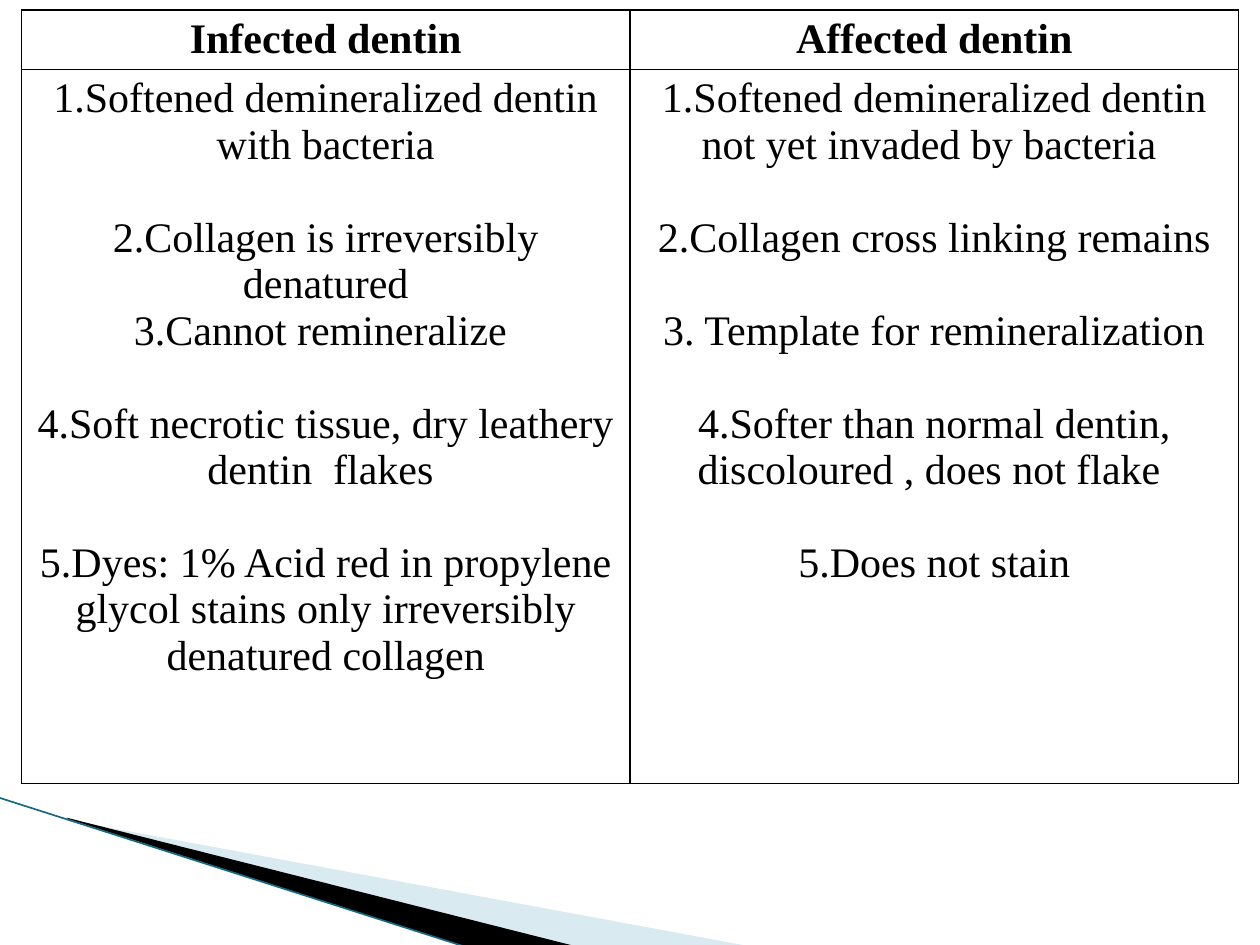
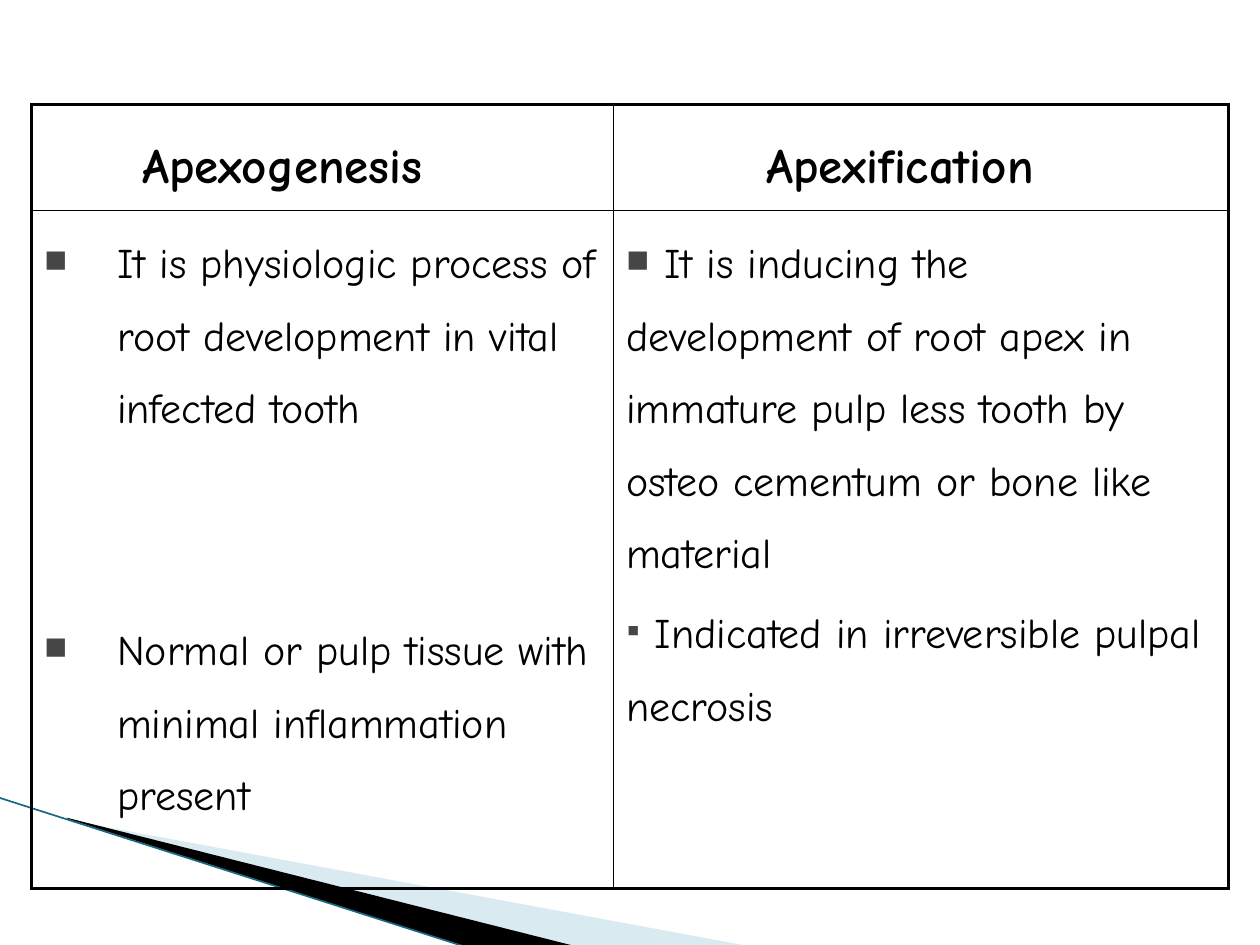
from lxml import etree
from pptx import Presentation
from pptx import util as u
from pptx.dml.color import RGBColor
from pptx.enum import shapes, text
from pptx.oxml.ns import qn

COLORS = {"ink": "000000", "pale": "A0CBDC", "edge": "17697F", "bullet": "464646"}
SERIF, COMIC, SYMBOLS = "Times New Roman", "Comic Neue", "Wingdings"
BIG_SQUARE, SMALL_SQUARE = "n", "§"  # square bullets in the symbol font
THIN, THICK = 1, 2.25
LINE = 26.6  # one skipped line between numbered items, in points

INFECTED = [
    ("Softened demineralized dentin with bacteria", 0),
    ("Collagen is irreversibly denatured", LINE),
    ("Cannot remineralize ", 0),
    ("Soft necrotic tissue, dry leathery dentin  flakes ", LINE),
    ("Dyes: 1% Acid red in propylene glycol stains only irreversibly denatured collagen", LINE),
]
AFFECTED = [
    ("Softened demineralized dentin not yet invaded by bacteria ", 0),
    ("Collagen cross linking remains", LINE),
    (" Template for remineralization", LINE),
    ("Softer than normal dentin, discoloured , does not flake ", LINE),
    ("Does not stain", LINE),
]
# text, space before, bullet
APEXOGENESIS = [
    ("It is physiologic process of root development in vital infected tooth", 0, BIG_SQUARE),
    ("Normal or pulp tissue with minimal inflammation present", 97, BIG_SQUARE),
]
APEXIFICATION = [
    (" It is inducing the\vdevelopment of root apex in immature pulp less tooth by "
     "osteo cementum or bone like material", 0, BIG_SQUARE),
    (" Indicated in irreversible pulpal necrosis", 4.5, SMALL_SQUARE),
]


def rgb(name):
    return RGBColor.from_string(COLORS[name])


def sub(parent, tag, **attrs):
    return etree.SubElement(parent, qn(tag), attrs)


# Shared corner decoration
def set_frame(sp, left, top, width, height):
    """Give the outline a frame of its own while its points stay in place."""
    dx, dy = sp.left - left, sp.top - top
    for pt in sp._element.iter(qn("a:pt")):
        pt.set("x", str(int(pt.get("x")) + dx))
        pt.set("y", str(int(pt.get("y")) + dy))
    outline = next(sp._element.iter(qn("a:path")))
    outline.set("w", str(width))
    outline.set("h", str(height))
    sp.left, sp.top, sp.width, sp.height = left, top, width, height


def add_wedge(s, frame, points, color, alpha=None):
    pts = [(u.Inches(x), u.Inches(y)) for x, y in points]
    fb = s.shapes.build_freeform(*pts[0])
    fb.add_line_segments(pts[1:], close=True)
    sp = fb.convert_to_shape()
    set_frame(sp, *map(u.Inches, frame))
    sp.shadow.inherit = False
    sp.fill.solid()
    sp.fill.fore_color.rgb = rgb(color)
    sp.line.fill.background()
    if alpha:
        clr = next(sp._element.spPr.iter(qn("a:srgbClr")))
        sub(clr, "a:alpha", val=str(alpha * 1000))


def add_corner(s):
    add_wedge(s, (0.78, 5.47, 4.16, 1.58),
              [(0.55, 6.51), (5.95, 7.51), (4.56, 7.51), (0.55, 6.5)], "pale", 40)
    add_wedge(s, (-0.06, 6.33, 4.16, 0.92),
              [(0.53, 6.49), (4.57, 7.51), (3.72, 7.52), (0.54, 6.5)], "ink")
    ln = s.shapes.add_connector(shapes.MSO_CONNECTOR.STRAIGHT, u.Inches(-0.01),
                                u.Inches(6.33), u.Inches(3.71), u.Inches(7.52))
    ln.line.color.rgb = rgb("edge")
    ln.line.width = u.Pt(0.95)
    sub(ln._element.spPr, "a:effectLst")


# Tables
def set_borders(cell, **widths):
    tcPr = cell._tc.get_or_add_tcPr()
    for side in "LRTB":
        ln = sub(tcPr, "a:ln" + side, w=str(u.Pt(widths[side])))
        sub(sub(ln, "a:solidFill"), "a:srgbClr", val=COLORS["ink"])


def add_table(s, left, top, cols, rows, outer):
    frame = s.shapes.add_table(len(rows), len(cols), u.Inches(left), u.Inches(top),
                               u.Inches(sum(cols)), u.Inches(sum(rows)))
    tbl = frame.table
    tbl.first_row = tbl.horz_banding = False
    for col, w in zip(tbl.columns, cols):
        col.width = u.Inches(w)
    for row, h in zip(tbl.rows, rows):
        row.height = u.Inches(h)
    for i in range(len(rows)):
        for j in range(len(cols)):
            cell = tbl.cell(i, j)
            set_borders(cell, L=THIN if j else outer, T=THIN if i else outer,
                        R=outer if j == len(cols) - 1 else THIN,
                        B=outer if i == len(rows) - 1 else THIN)
            cell.fill.background()
    return tbl


# Paragraphs
def paragraph(tf, i, words, font, size, bold=False, before=0):
    p = tf.paragraphs[0] if i == 0 else tf.add_paragraph()
    p.text = words
    if before:
        p.space_before = u.Pt(before)
    for r in p.runs:
        r.font.name, r.font.size, r.font.bold = font, u.Pt(size), bold
        r.font.color.rgb = rgb("ink")
    return p


def set_indent(p, left, hanging=0):
    pPr = p._p.get_or_add_pPr()
    pPr.set("marL", str(u.Inches(left)))
    pPr.set("indent", str(-u.Inches(hanging)))
    return pPr


def centred_header(cell, words):
    p = paragraph(cell.text_frame, 0, words, SERIF, 24, bold=True)
    p.alignment = text.PP_ALIGN.CENTER


def numbered_list(cell, items):
    for i, (words, before) in enumerate(items):
        p = paragraph(cell.text_frame, i, words, SERIF, 24, before=before)
        p.alignment = text.PP_ALIGN.CENTER
        sub(set_indent(p, 0), "a:buAutoNum", type="arabicPeriod")


def indented_header(cell, words, left):
    p = paragraph(cell.text_frame, 0, words, COMIC, 28, bold=True)
    p.line_spacing = 1.5
    set_indent(p, left)


def bullet_list(cell, items, indent):
    for i, (words, before, mark) in enumerate(items):
        p = paragraph(cell.text_frame, i, words, COMIC, 24, before=before)
        p.line_spacing = 1.5
        pPr = set_indent(p, indent, indent)
        sub(sub(pPr, "a:buClr"), "a:srgbClr", val=COLORS["bullet"])
        sub(pPr, "a:buSzPct", val="75000")
        sub(pPr, "a:buFont", typeface=SYMBOLS, charset="2")
        sub(pPr, "a:buChar", char=mark)


# Slides
def add_slide(prs):
    s = prs.slides.add_slide(prs.slide_layouts[6])
    add_corner(s)
    return s


def dentin_slide(prs):
    tbl = add_table(add_slide(prs), 0.17, 0.08, [4.83, 4.83], [0.47, 5.67], THIN)
    columns = [("Infected dentin", INFECTED), ("Affected dentin", AFFECTED)]
    for j, (title, items) in enumerate(columns):
        centred_header(tbl.cell(0, j), title)
        numbered_list(tbl.cell(1, j), items)


def apex_slide(prs):
    tbl = add_table(add_slide(prs), 0.25, 0.83, [4.62, 4.88], [0.84, 5.38], THICK)
    columns = [("Apexogenesis", 0.78, APEXOGENESIS, 0.58),
               ("Apexification", 1.11, APEXIFICATION, 0)]
    for j, (title, left, items, indent) in enumerate(columns):
        indented_header(tbl.cell(0, j), title, left)
        bullet_list(tbl.cell(1, j), items, indent)


def main():
    prs = Presentation()
    prs.slide_width, prs.slide_height = u.Inches(10), u.Inches(7.5)
    dentin_slide(prs)
    apex_slide(prs)
    prs.save("out.pptx")


if __name__ == "__main__":
    main()
